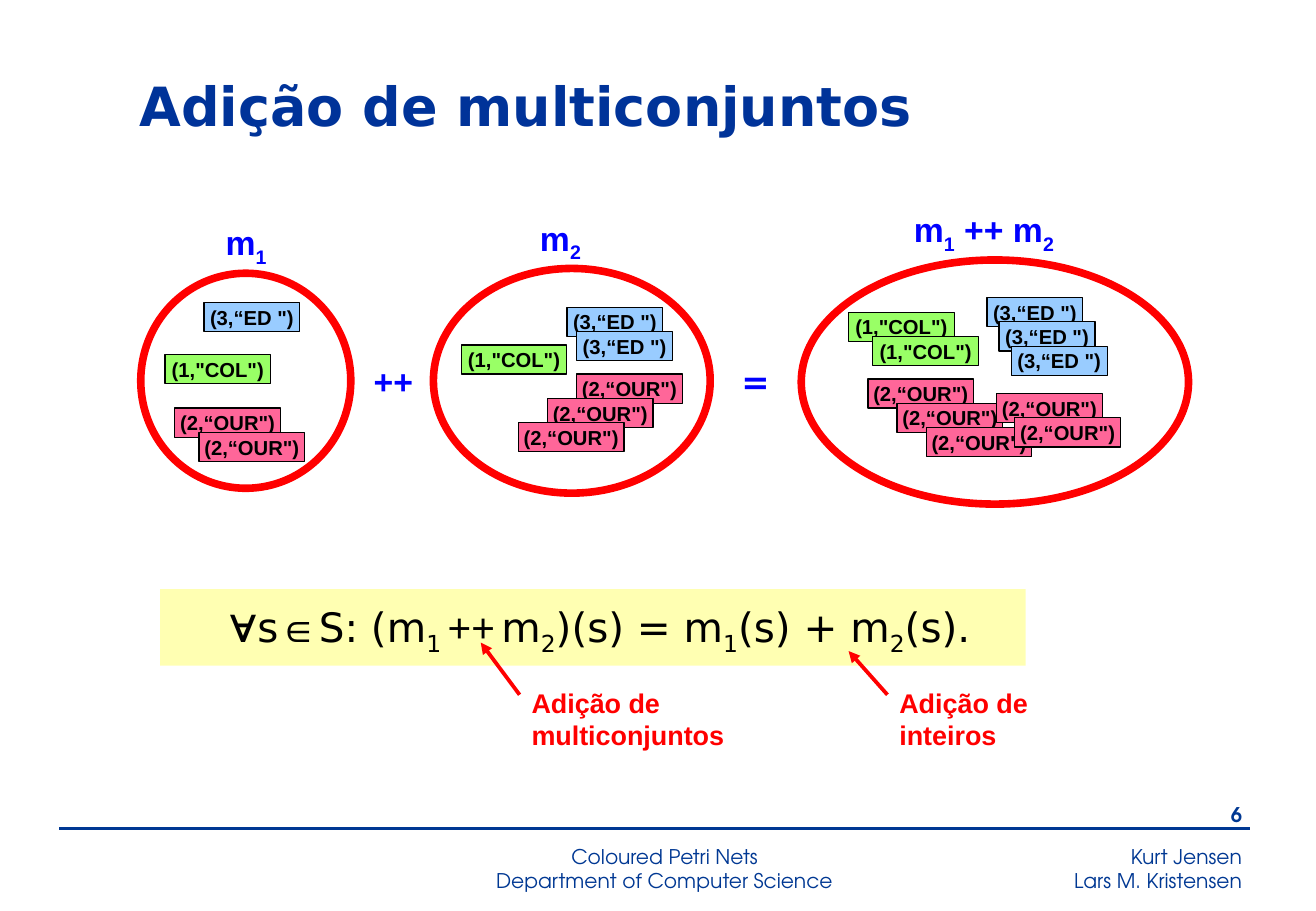
from lxml.etree import SubElement
from pptx import Presentation
from pptx.dml.color import RGBColor
from pptx.enum.shapes import MSO_CONNECTOR, MSO_SHAPE
from pptx.enum.text import MSO_ANCHOR, PP_ALIGN
from pptx.oxml.ns import qn
from pptx.util import Inches, Pt

NAVY, BLUE, RED, BLACK = "003893", "0000FF", "FF0000", "000000"
SANS, WIDE, FOOTER = "Arial", "DejaVu Sans", "TeX Gyre Adventor"
TOKENS = {  # kind: (text, fill, width)
    "COL": ('(1,"COL")', "99FF66", 0.87),
    "OUR": ('(2,“OUR")', "FF6699", 0.87),
    "ED": ('(3,“ED ")', "99CCFF", 0.79),
}
TOKEN_HEIGHT, CASCADE_DROP = 0.24, 0.2


def colour(value):
    return RGBColor.from_string(value)


def add_run(paragraph, text, size, font, value, bold=False, subscript=False):
    run = paragraph.add_run()
    run.text = text
    run.font.size, run.font.name, run.font.bold = Pt(size), font, bold
    run.font.color.rgb = colour(value)
    if subscript:
        run.font._element.set("baseline", "-25000")


def add_text(slide, box, size, font, value, lines, bold=False,
             align=PP_ALIGN.LEFT, anchor=MSO_ANCHOR.TOP):
    """Place one paragraph per line; a line is a list of (text, subscript)."""
    frame = slide.shapes.add_textbox(*map(Inches, box)).text_frame
    frame.word_wrap = True
    frame.vertical_anchor = anchor
    for index, line in enumerate(lines):
        paragraph = frame.add_paragraph() if index else frame.paragraphs[0]
        paragraph.alignment = align
        for text, subscript in line:
            add_run(paragraph, text, size, font, value, bold, subscript)


def add_line(slide, start, end, value, width, arrow=False):
    line = slide.shapes.add_connector(
        MSO_CONNECTOR.STRAIGHT, *map(Inches, (*start, *end)))
    line.line.color.rgb = colour(value)
    line.line.width = Pt(width)
    if arrow:
        SubElement(line.line._get_or_add_ln(), qn("a:tailEnd"), type="triangle")
    SubElement(line._element.spPr, qn("a:effectLst"))


def add_shape(slide, kind, box, fill=None, line=None, width=0.75):
    shape = slide.shapes.add_shape(kind, *map(Inches, box))
    shape.shadow.inherit = False
    if fill:
        shape.fill.solid()
        shape.fill.fore_color.rgb = colour(fill)
    else:
        shape.fill.background()
    if line:
        shape.line.color.rgb = colour(line)
        shape.line.width = Pt(width)
    else:
        shape.line.fill.background()
    return shape


def add_token(slide, kind, left, top):
    text, fill, width = TOKENS[kind]
    token = add_shape(slide, MSO_SHAPE.RECTANGLE,
                      (left, top, width, TOKEN_HEIGHT), fill, BLACK)
    frame = token.text_frame
    frame.word_wrap = False
    frame.vertical_anchor = MSO_ANCHOR.MIDDLE
    frame.paragraphs[0].alignment = PP_ALIGN.CENTER
    add_run(frame.paragraphs[0], text, 12, SANS, BLACK, bold=True)


def add_multiset(slide, box, label, label_offset, label_width, cascades):
    """Draw an ellipse, its label and cascades (kind, x, y, count, step)."""
    left, top = box[:2]
    for kind, x, y, count, step in cascades:
        for index in range(count):
            add_token(slide, kind, left + x + index * step,
                      top + y + index * CASCADE_DROP)
    add_shape(slide, MSO_SHAPE.OVAL, box, line=RED, width=4.5)
    add_text(slide, (left + label_offset, top - 0.47, label_width, 0.47),
             20, SANS, BLUE, [label], bold=True)


def add_diagram(slide):
    add_multiset(slide, (1.16, 2.25, 1.73, 1.77),
                 [("m", False), ("1", True)], 0.6, 0.63,
                 [("COL", 0.2, 0.67, 1, 0), ("OUR", 0.28, 1.11, 2, 0.2),
                  ("ED", 0.52, 0.24, 1, 0)])
    add_multiset(slide, (3.57, 2.21, 2.28, 1.85),
                 [("m", False), ("2", True)], 0.78, 0.63,
                 [("COL", 0.23, 0.63, 1, 0), ("OUR", 1.18, 0.87, 3, -0.24),
                  ("ED", 1.1, 0.32, 2, 0.08)])
    add_multiset(slide, (6.6, 2.14, 3.19, 2.01),
                 [("m", False), ("1", True), (" ++ m", False), ("2", True)],
                 0.83, 1.5,
                 [("COL", 0.39, 0.43, 2, 0.2), ("ED", 1.53, 0.31, 3, 0.1),
                  ("OUR", 0.55, 0.98, 3, 0.24), ("OUR", 1.61, 1.1, 2, 0.15)])
    for left, sign, font in ((2.98, "++", SANS), (6.01, "=", WIDE)):
        add_text(slide, (left, 2.92, 0.63, 0.47), 20, font, BLUE,
                 [[(sign, False)]], bold=True)


def add_formula(slide, box):
    band = add_shape(slide, MSO_SHAPE.RECTANGLE, box, "FFFF66")
    fill_colour = band._element.spPr.find(qn("a:solidFill"))[0]
    SubElement(fill_colour, qn("a:alpha"), val="50000")
    frame = band.text_frame
    frame.word_wrap = True
    frame.vertical_anchor = MSO_ANCHOR.TOP
    frame.margin_left = Inches(0.57)
    paragraph = frame.paragraphs[0]
    paragraph.alignment = PP_ALIGN.LEFT
    for text, size, font, subscript in (
            ("∀", 28, SANS, False), ("s", 24, WIDE, False),
            ("∈", 24, SANS, False), ("S: (m", 24, WIDE, False),
            ("1", 24, WIDE, True), (" ", 12, WIDE, False),
            ("++", 24, SANS, False), (" ", 12, WIDE, False),
            ("m", 24, WIDE, False), ("2", 24, WIDE, True),
            (")(s) = m", 24, WIDE, False), ("1", 24, WIDE, True),
            ("(s) + m", 24, WIDE, False), ("2", 24, WIDE, True),
            ("(s).", 24, WIDE, False)):
        add_run(paragraph, text, size, font, BLACK, subscript=subscript)


def add_callout(slide, left, top, text, rise):
    """Place a red note with an arrow up to the operator it explains."""
    add_line(slide, (left, top + 0.12), (left - 0.32, top + 0.12 - rise),
             RED, 2.25, arrow=True)
    add_text(slide, (left, top, 1.81, 0.64), 16, SANS, RED,
             [[(text, False)]], bold=True)


def add_footer(slide, left, top, width):
    add_line(slide, (left, top), (left + width, top), NAVY, 1.5)
    right = left + width + 0.03
    for box, lines, align, bold in (
            ((right - 0.71, top - 0.26, 0.71, 0.33), ["6"],
             PP_ALIGN.RIGHT, True),
            ((left + 2.92, top + 0.08, 4.13, 0.47),
             ["Coloured Petri Nets", "Department of Computer Science"],
             PP_ALIGN.CENTER, False),
            ((right - 3.37, top + 0.08, 3.37, 0.5),
             ["Kurt Jensen", "Lars M. Kristensen"], PP_ALIGN.RIGHT, False)):
        add_text(slide, box, 12, FOOTER, NAVY,
                 [[(line, False)] for line in lines], bold, align)


def main():
    presentation = Presentation()
    presentation.slide_width = Inches(10.84)
    presentation.slide_height = Inches(7.5)
    slide = presentation.slides.add_slide(presentation.slide_layouts[6])
    add_footer(slide, 0.49, 6.82, 9.81)
    add_text(slide, (1.05, 0.52, 8.31, 0.69), 32, WIDE, "003399",
             [[("Adição de multiconjuntos", False)]], bold=True,
             anchor=MSO_ANCHOR.MIDDLE)
    add_diagram(slide)
    add_formula(slide, (1.32, 4.85, 7.13, 0.63))
    add_callout(slide, 4.28, 5.6, "Adição de multiconjuntos", 0.43)
    add_callout(slide, 7.31, 5.6, "Adição de inteiros", 0.36)
    presentation.save("out.pptx")


if __name__ == "__main__":
    main()
